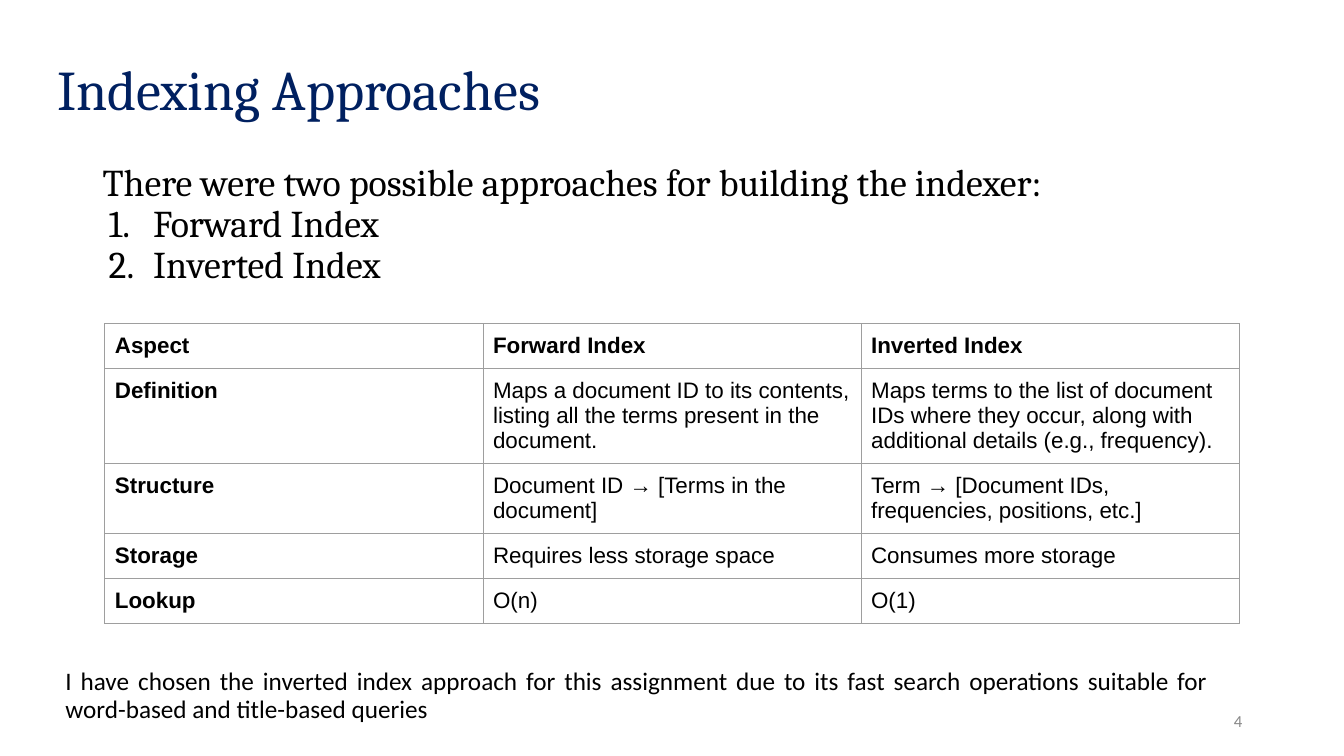
from lxml import etree
from pptx import Presentation
from pptx.dml.color import RGBColor
from pptx.enum.text import MSO_ANCHOR, MSO_AUTO_SIZE, PP_ALIGN
from pptx.oxml.ns import qn
from pptx.util import Inches, Pt

NAVY = RGBColor(0x00, 0x20, 0x60)
BLACK = RGBColor(0x00, 0x00, 0x00)
GREY = RGBColor(0x88, 0x88, 0x88)
RULE = RGBColor(0x9E, 0x9E, 0x9E)
LEFT, RIGHT, JUSTIFY = PP_ALIGN.LEFT, PP_ALIGN.RIGHT, PP_ALIGN.JUSTIFY
TOP, MIDDLE = MSO_ANCHOR.TOP, MSO_ANCHOR.MIDDLE
NO_FIT = MSO_AUTO_SIZE.NONE

ROWS = [
    ("Aspect", "Forward Index", "Inverted Index"),
    ("Definition",
     "Maps a document ID to its contents, listing all the terms present in the document.",
     "Maps terms to the list of document IDs where they occur, along with "
     "additional details (e.g., frequency)."),
    ("Structure", "Document ID → [Terms in the document]",
     "Term → [Document IDs, frequencies, positions, etc.]"),
    ("Storage", "Requires less storage space", "Consumes more storage"),
    ("Lookup", "O(n)", "O(1)"),
]


class Page:
    def __init__(self, deck):
        self.slide = deck.slides.add_slide(deck.slide_layouts[5])
        self.serif, self.sans, self.grid = "Cambria", "Calibri", "Arial"

    def style(self, para, face, size, color, align=LEFT, bold=False, lead=None):
        para.alignment = align
        if lead:
            para.line_spacing = lead
        font = para.font
        font.name, font.size, font.bold = face, Pt(size), bold
        font.color.rgb = color

    def place(self, shape, box, anchor):
        shape.left, shape.top, shape.width, shape.height = map(Inches, box)
        frame = shape.text_frame
        frame.word_wrap = True
        frame.auto_size = NO_FIT
        frame.vertical_anchor = anchor
        return frame

    def title(self, text, box):
        frame = self.place(self.slide.shapes.title, box, MIDDLE)
        frame.text = text
        self.style(frame.paragraphs[0], self.serif, 40, NAVY, lead=0.9)

    def text(self, lines, box, face, size, color=BLACK, align=JUSTIFY,
             anchor=TOP, lead=0.9):
        shape = self.slide.shapes.add_textbox(*map(Inches, box))
        frame = self.place(shape, box, anchor)
        frame.text = "\n".join(lines)
        for para in frame.paragraphs:
            self.style(para, face, size, color, align, lead=lead)
        return frame.paragraphs

    def number(self, para):
        props = para._p.get_or_add_pPr()
        props.set("marL", str(Inches(0.5)))
        props.set("indent", str(Inches(-0.44)))
        font = props.find(qn("a:defRPr"))
        for tag, key, value in (("a:buFont", "typeface", self.sans),
                                ("a:buAutoNum", "type", "arabicPeriod")):
            mark = etree.Element(qn(tag))
            mark.set(key, value)
            font.addprevious(mark)

    def border(self, cell):
        props = cell._tc.get_or_add_tcPr()
        for spot, side in enumerate(("a:lnL", "a:lnR", "a:lnT", "a:lnB")):
            line = etree.Element(qn(side), w=str(Pt(0.75)))
            fill = etree.SubElement(line, qn("a:solidFill"))
            etree.SubElement(fill, qn("a:srgbClr"), val=str(RULE))
            props.insert(spot, line)

    def table(self, rows, left, top, width, height):
        count = len(rows[0])
        table = self.slide.shapes.add_table(
            len(rows), count, Inches(left), Inches(top),
            Inches(width * count), Inches(height * len(rows))).table
        table.first_row = table.horz_banding = False
        for r, row in enumerate(rows):
            for c, text in enumerate(row):
                cell = table.cell(r, c)
                cell.text = text
                cell.margin_left = cell.margin_right = Inches(0.1)
                cell.margin_top = cell.margin_bottom = Inches(0.1)
                cell.fill.background()
                self.border(cell)
                self.style(cell.text_frame.paragraphs[0], self.grid, 16, BLACK,
                           bold=r == 0 or c == 0)


def main():
    deck = Presentation()
    deck.slide_width, deck.slide_height = Inches(13.33), Inches(7.5)
    page = Page(deck)
    page.title("Indexing Approaches", (0.47, 0.1, 11.7, 1.63))
    page.text(["4"], (9.42, 6.95, 3, 0.4), page.sans, 12, GREY, RIGHT, MIDDLE, None)
    intro = page.text(
        ["There were two possible approaches for building the indexer:",
         "Forward Index", "Inverted Index"],
        (0.92, 1.58, 11.7, 1.45), page.serif, 27)
    for para in intro[1:]:
        page.number(para)
    page.table(ROWS, 1.04, 3.21, 3.75, 0.42)
    page.text(
        ["I have chosen the inverted index approach for this assignment due to its "
         "fast search operations suitable for word-based and title-based queries"],
        (0.55, 6.59, 11.53, 0.56), page.sans, 18)
    deck.save("out.pptx")


if __name__ == "__main__":
    main()
